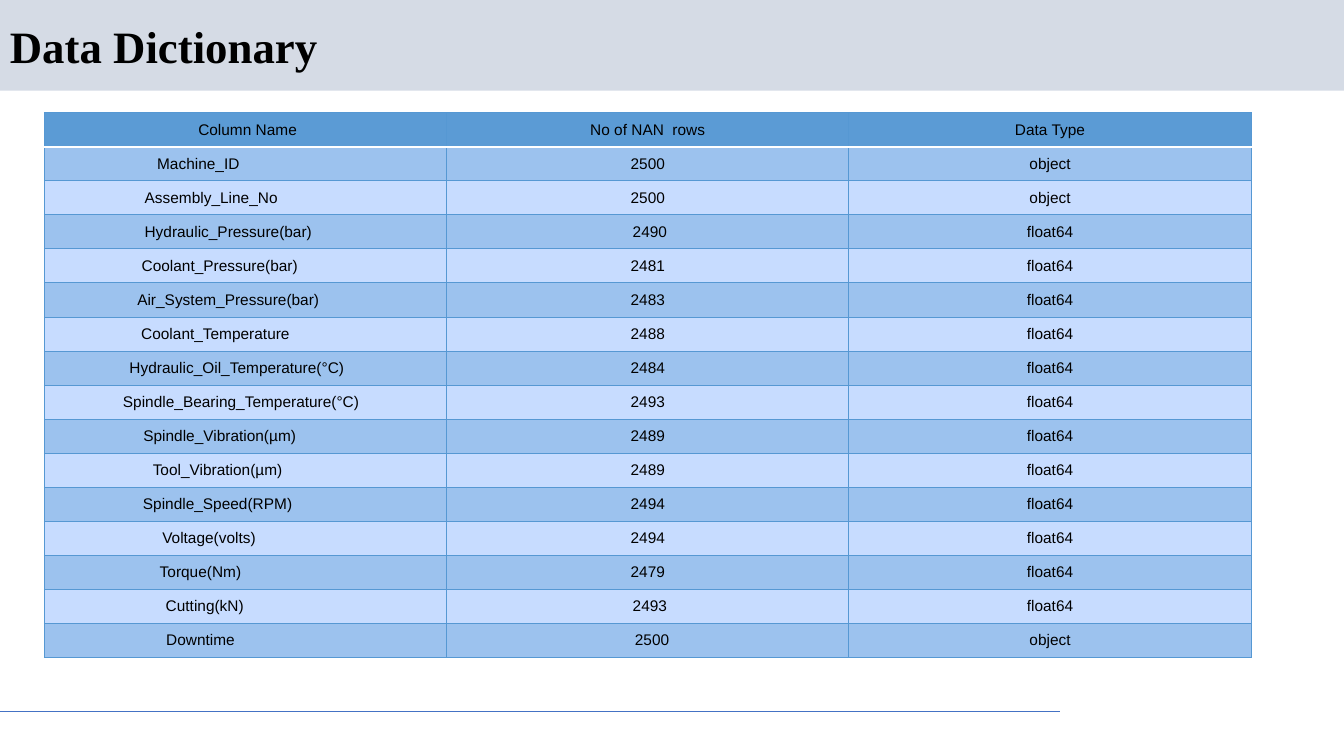
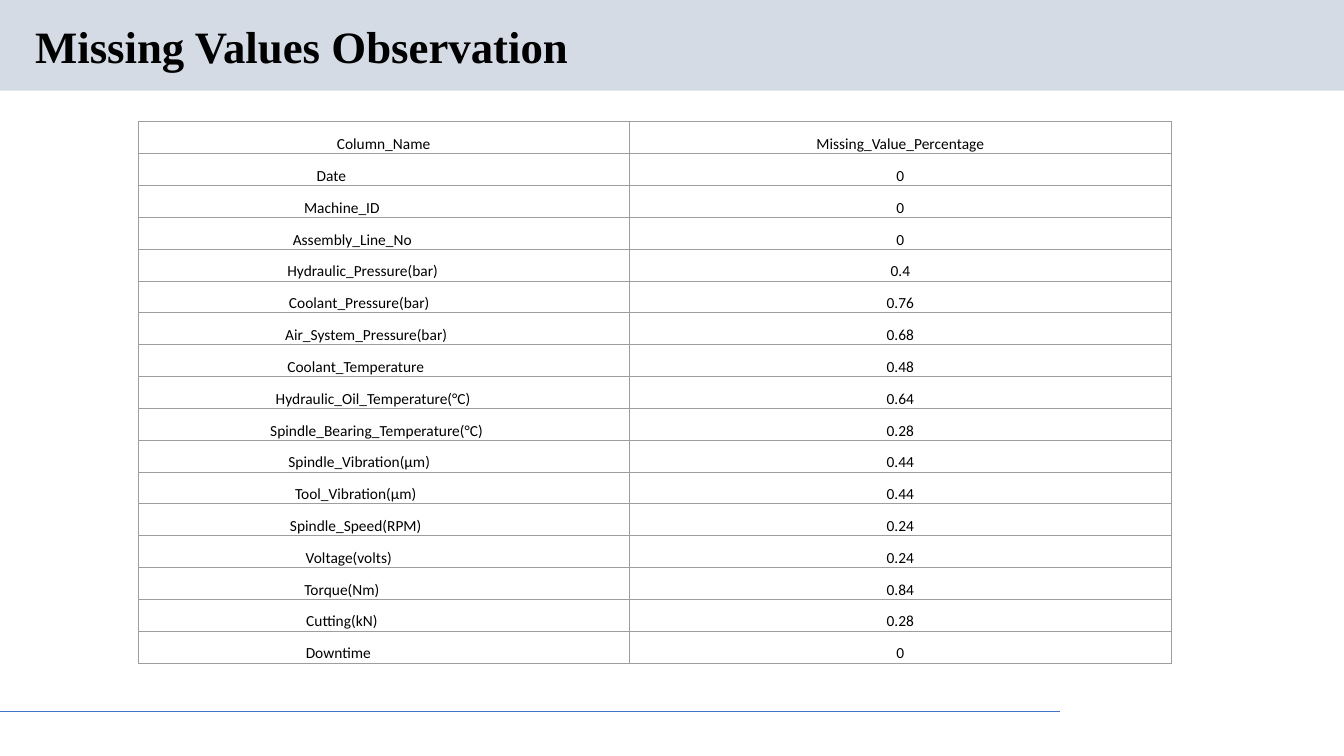
from dataclasses import dataclass

from lxml import etree
from pptx import Presentation
from pptx.dml.color import RGBColor
from pptx.enum import shapes, text
from pptx.oxml import ns
from pptx.util import Inches, Pt


@dataclass(frozen=True)
class Theme:
    ink: str = "000000"
    band: str = "D5DBE5"
    footer_line: str = "4472C4"
    white: str = "FFFFFF"
    blue_header: str = "5B9BD5"
    blue_rows: tuple = ("9CC2EE", "C7DCFF")
    blue_grid: str = "5698D3"
    grey_grid: str = "9E9E9E"
    title_font: str = "Times New Roman"
    title_size: float = 32
    cell_size: float = 11
    hairline: float = 0.75
    header_rule: float = 2


@dataclass(frozen=True)
class TableStyle:
    font: str
    space: float  # width in inches of one space at the cell size
    anchor: text.MSO_ANCHOR
    grid: str
    header_fill: str | None = None
    row_fills: tuple = (None,)
    header_rule: str | None = None


THEME = Theme()
PAGE_WIDTH, PAGE_HEIGHT = 13.33, 7.5
CELL_INSET = 0.01

BLUE_TABLE = TableStyle("Arial", 0.0425, text.MSO_ANCHOR.MIDDLE, THEME.blue_grid,
                        THEME.blue_header, THEME.blue_rows, THEME.white)
PLAIN_TABLE = TableStyle("Calibri", 0.0345, text.MSO_ANCHOR.BOTTOM, THEME.grey_grid)

# A cell is its text, or (text, lean): lean is how many spaces' width
# is kept free on its right (on its left when negative).
DICTIONARY_ROWS = [
    (("Column Name", -1), "No of NAN  rows", "Data Type"),
    (("Machine_ID", 22), "2500", "object"),
    (("Assembly_Line_No", 16), "2500", "object"),
    (("Hydraulic_Pressure(bar)", 8), ("2490", -1), "float64"),
    (("Coolant_Pressure(bar)", 12), "2481", "float64"),
    (("Air_System_Pressure(bar)", 8), "2483", "float64"),
    (("Coolant_Temperature", 14), "2488", "float64"),
    (("Hydraulic_Oil_Temperature(°C)", 4), "2484", "float64"),
    (("Spindle_Bearing_Temperature(°C)", 2), "2493", "float64"),
    (("Spindle_Vibration(µm)", 12), "2489", "float64"),
    (("Tool_Vibration(µm)", 13), "2489", "float64"),
    (("Spindle_Speed(RPM)", 13), "2494", "float64"),
    (("Voltage(volts)", 17), "2494", "float64"),
    (("Torque(Nm)", 21), "2479", "float64"),
    (("Cutting(kN)", 19), ("2493", -1), "float64"),
    (("Downtime", 21), ("2500", -2), "object"),
]
MISSING_ROWS = [
    ("Column_Name", "Missing_Value_Percentage"),
    (("Date", 30), "0"),
    (("Machine_ID", 24), "0"),
    (("Assembly_Line_No", 18), "0"),
    (("Hydraulic_Pressure(bar)", 12), "0.4"),
    (("Coolant_Pressure(bar)", 14), "0.76"),
    (("Air_System_Pressure(bar)", 10), "0.68"),
    (("Coolant_Temperature", 16), "0.48"),
    (("Hydraulic_Oil_Temperature(°C)", 6), "0.64"),
    (("Spindle_Bearing_Temperature(°C)", 4), "0.28"),
    (("Spindle_Vibration(µm)", 14), "0.44"),
    (("Tool_Vibration(µm)", 16), "0.44"),
    (("Spindle_Speed(RPM)", 16), "0.24"),
    (("Voltage(volts)", 20), "0.24"),
    (("Torque(Nm)", 24), "0.84"),
    (("Cutting(kN)", 24), "0.28"),
    (("Downtime", 26), "0"),
]


def rgb(colour):
    return RGBColor.from_string(colour)


def write(frame, words, *, font, size, bold=False, align=text.PP_ALIGN.LEFT, spacing=1.0):
    para = frame.paragraphs[0]
    para.alignment, para.line_spacing = align, spacing
    span = para.add_run()
    span.text = words
    span.font.name, span.font.size, span.font.bold = font, Pt(size), bold
    span.font.color.rgb = rgb(THEME.ink)


def add_frame(page, title, title_left):
    """Place the title band, the title and the footer line."""
    band = page.shapes.add_shape(shapes.MSO_SHAPE.RECTANGLE, 0, 0,
                                 Inches(PAGE_WIDTH), Inches(0.9))
    band.shadow.inherit = False
    band.fill.solid()
    band.fill.fore_color.rgb = rgb(THEME.band)
    band.line.fill.background()

    footer = page.shapes.add_connector(shapes.MSO_CONNECTOR.STRAIGHT, 0, Inches(7.06),
                                       Inches(10.51), Inches(7.06))
    footer.line.color.rgb = rgb(THEME.footer_line)
    footer.line.width = Pt(THEME.hairline)
    etree.SubElement(footer._element.spPr, ns.qn("a:effectLst"))

    box = page.shapes.add_textbox(Inches(title_left), Inches(0.19), Inches(11.5), Inches(0.59))
    frame = box.text_frame
    frame.word_wrap = True
    frame.vertical_anchor = text.MSO_ANCHOR.MIDDLE
    write(frame, title, font=THEME.title_font, size=THEME.title_size, bold=True, spacing=0.9)


def set_border(cell, side, colour, width):
    line = etree.SubElement(cell._tc.get_or_add_tcPr(), ns.qn(f"a:ln{side}"), w=str(Pt(width)))
    fill = etree.SubElement(line, ns.qn("a:solidFill"))
    etree.SubElement(fill, ns.qn("a:srgbClr"), val=colour)


def format_cell(cell, content, style, row):
    words, lean = content if isinstance(content, tuple) else (content, 0)
    cell.margin_left = Inches(CELL_INSET + max(-lean, 0) * style.space)
    cell.margin_right = Inches(CELL_INSET + max(lean, 0) * style.space)
    cell.margin_top, cell.margin_bottom = Inches(CELL_INSET), 0
    cell.vertical_anchor = style.anchor
    write(cell.text_frame, words, font=style.font, size=THEME.cell_size,
          align=text.PP_ALIGN.CENTER)

    ruled_side = {0: "B", 1: "T"}.get(row) if style.header_rule else None
    for side in "LRTB":
        if side == ruled_side:
            set_border(cell, side, style.header_rule, THEME.header_rule)
        else:
            set_border(cell, side, style.grid, THEME.hairline)

    fill = style.row_fills[(row - 1) % len(style.row_fills)] if row else style.header_fill
    if fill:
        cell.fill.solid()
        cell.fill.fore_color.rgb = rgb(fill)
    else:
        cell.fill.background()


def add_data_table(page, rows, style, left, top, height, widths):
    table = page.shapes.add_table(len(rows), len(widths), Inches(left), Inches(top),
                                  Inches(sum(widths)), Inches(height)).table
    table.first_row = table.horz_banding = False
    for column, width in zip(table.columns, widths):
        column.width = Inches(width)
    for index, contents in enumerate(rows):
        table.rows[index].height = Inches(height / len(rows))
        for column, content in enumerate(contents):
            format_cell(table.cell(index, column), content, style, index)


def add_table_page(deck, title, title_left, **table):
    page = deck.slides.add_slide(deck.slide_layouts[6])
    add_frame(page, title, title_left)
    add_data_table(page, **table)


def main():
    deck = Presentation()
    deck.slide_width, deck.slide_height = Inches(PAGE_WIDTH), Inches(PAGE_HEIGHT)
    add_table_page(deck, "Data Dictionary", 0, rows=DICTIONARY_ROWS, style=BLUE_TABLE,
                   left=0.44, top=1.12, height=5.4, widths=[3.99] * 3)
    add_table_page(deck, "Missing Values Observation", 0.25, rows=MISSING_ROWS,
                   style=PLAIN_TABLE, left=1.37, top=1.21, height=5.37, widths=[4.87, 5.38])
    deck.save("out.pptx")


if __name__ == "__main__":
    main()
